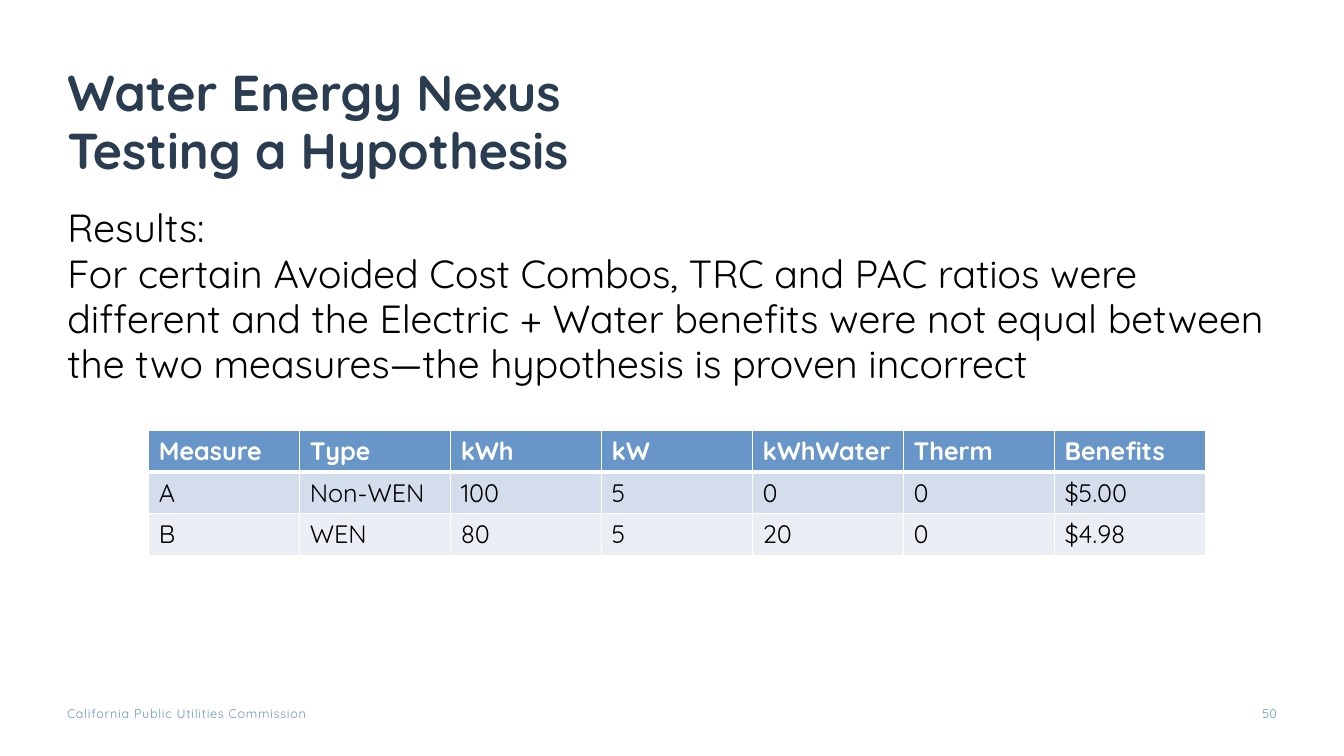
import pptx
import pptx.dml.color
import pptx.enum.text
import pptx.oxml
import pptx.oxml.ns
import pptx.util
from pptx.dml.color import RGBColor
from pptx.enum.text import MSO_ANCHOR, MSO_AUTO_SIZE, PP_ALIGN
from pptx.util import Cm

FONT = "Quicksand"
NAVY = RGBColor(0x2A, 0x3C, 0x50)
BLUE = RGBColor(0x69, 0x96, 0xC9)
PALE_BLUE = RGBColor(0xD4, 0xDD, 0xEB)
PALEST_BLUE = RGBColor(0xEB, 0xEF, 0xF5)
BLACK = RGBColor(0, 0, 0)
WHITE = RGBColor(0xFF, 0xFF, 0xFF)

RESULTS = [
    "Results:",
    "For certain Avoided Cost Combos, TRC and PAC ratios were different and "
    "the Electric + Water benefits were not equal between the two "
    "measures—the hypothesis is proven incorrect",
]
MEASURES = [
    ["Measure", "Type", "kWh", "kW", "kWhWater", "Therm", "Benefits"],
    ["A", "Non-WEN", "100", "5", "0", "0", "$5.00"],
    ["B", "WEN", "80", "5", "20", "0", "$4.98"],
]


def format_text(frame, size, color, bold=False, align=PP_ALIGN.LEFT, spacing=1.0):
    for para in frame.paragraphs:
        para.alignment = align
        para.line_spacing = spacing
        para.space_before = para.space_after = pptx.util.Pt(0)
        for span in para.runs:
            span.font.name = FONT
            span.font.size = pptx.util.Pt(size)
            span.font.bold = bold
            span.font.color.rgb = color


def set_frame(frame, right=0, vertical=0, anchor=MSO_ANCHOR.TOP):
    frame.word_wrap = True
    frame.auto_size = MSO_AUTO_SIZE.NONE
    frame.vertical_anchor = anchor
    frame.margin_left = 0
    frame.margin_right = Cm(right)
    frame.margin_top = frame.margin_bottom = Cm(vertical)


def add_title(page, left, top, width, height):
    title = page.shapes.title
    title.left, title.top, title.width, title.height = map(Cm, (left, top, width, height))
    frame = title.text_frame
    frame.text = "Water Energy Nexus\vTesting a Hypothesis"
    set_frame(frame, 0.25, 0.13, MSO_ANCHOR.BOTTOM)
    format_text(frame, 36, NAVY, bold=True, spacing=0.96)


def add_results(page, left, top, width, height):
    box = page.shapes.add_textbox(*map(Cm, (left, top, width, height)))
    frame = box.text_frame
    frame.text = "\n".join(RESULTS)
    set_frame(frame, 0.25, 0.13)
    format_text(frame, 28, BLACK, spacing=0.96)


def set_borders(cell, bottom):
    """Draw white cell edges, 1 pt except for the bottom one."""
    properties = cell._tc.get_or_add_tcPr()
    for index, (side, points) in enumerate(
        [("lnL", 1), ("lnR", 1), ("lnT", 1), ("lnB", bottom)]
    ):
        edge = pptx.oxml.parse_xml(
            f'<a:{side} {pptx.oxml.ns.nsdecls("a")} w="{pptx.util.Pt(points)}">'
            f'<a:solidFill><a:srgbClr val="{WHITE}"/></a:solidFill></a:{side}>'
        )
        properties.insert(index, edge)


def add_measures_table(page, left, top, width, height):
    frame = page.shapes.add_table(
        len(MEASURES), len(MEASURES[0]), *map(Cm, (left, top, width, height))
    )
    fills = [BLUE, PALE_BLUE, PALEST_BLUE]
    for row, (values, fill) in enumerate(zip(MEASURES, fills)):
        header = row == 0
        for column, value in enumerate(values):
            cell = frame.table.cell(row, column)
            cell.text = value
            cell.fill.solid()
            cell.fill.fore_color.rgb = fill
            format_text(cell.text_frame, 18, WHITE if header else BLACK, bold=header)
            # The header's thick rule is shared with the row below it.
            set_borders(cell, 3 if header else 1)


def add_footer(page, left, top, width, height):
    number_width = 1.07
    parts = [
        ("California Public Utilities Commission", left, 8.15, PP_ALIGN.LEFT, 50),
        ("50", left + width - number_width, number_width, PP_ALIGN.RIGHT, 0),
    ]
    for text, part_left, part_width, align, tracking in parts:
        box = page.shapes.add_textbox(*map(Cm, (part_left, top, part_width, height)))
        frame = box.text_frame
        frame.text = text
        set_frame(frame)
        format_text(frame, 9, BLUE, align=align)
        frame.paragraphs[0].runs[0].font._element.set("spc", str(tracking))


def main():
    deck = pptx.Presentation()
    deck.slide_width, deck.slide_height = Cm(33.87), Cm(19.05)
    page = deck.slides.add_slide(deck.slide_layouts.get_by_name("Title Only"))
    add_title(page, 1.7, 1.02, 30.48, 3.68)
    add_results(page, 1.7, 5.08, 30.48, 12.09)
    add_measures_table(page, 3.75, 10.84, 26.63, 3.14)
    add_footer(page, 1.69, 17.78, 30.49, 0.4)
    deck.save("out.pptx")


if __name__ == "__main__":
    main()
